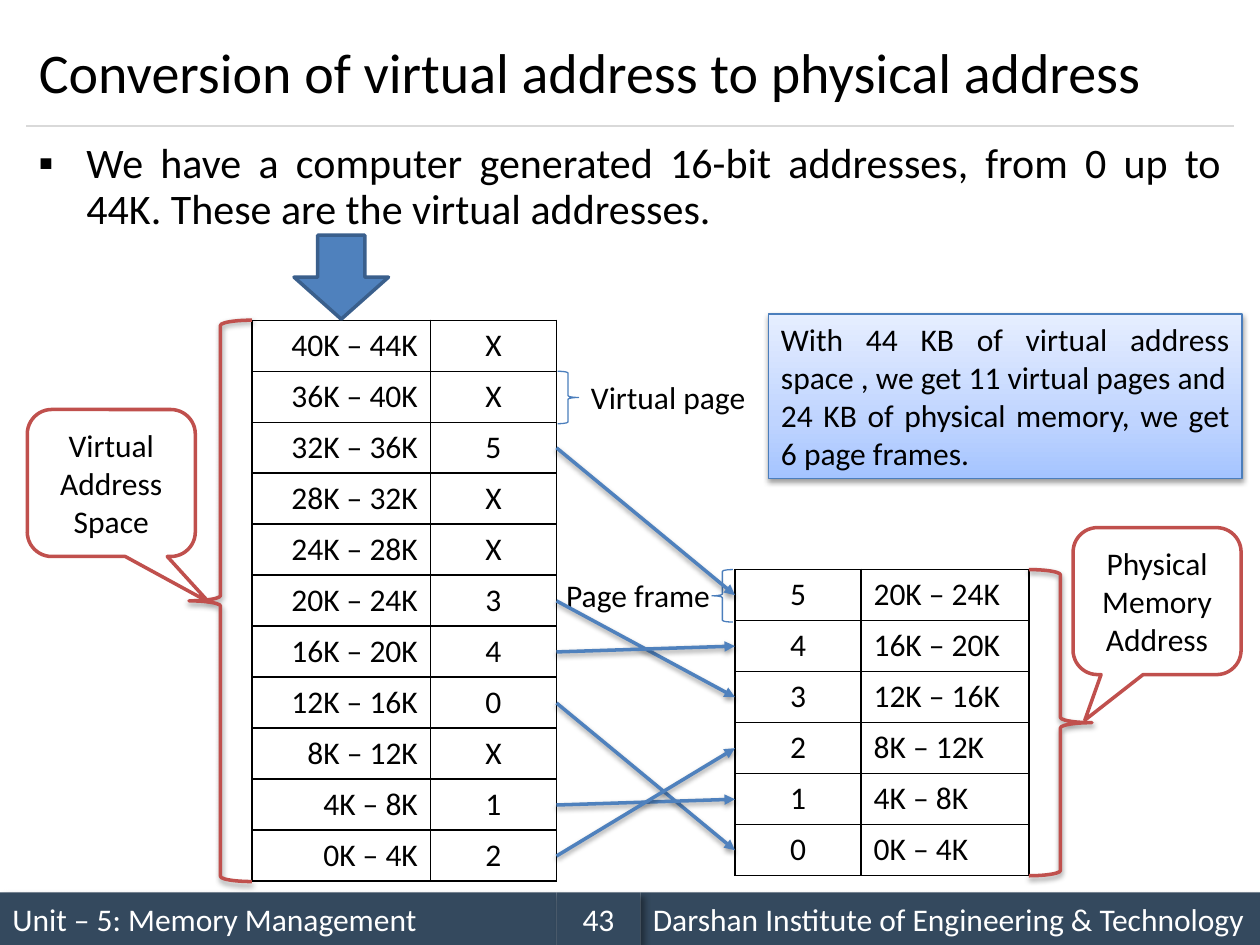
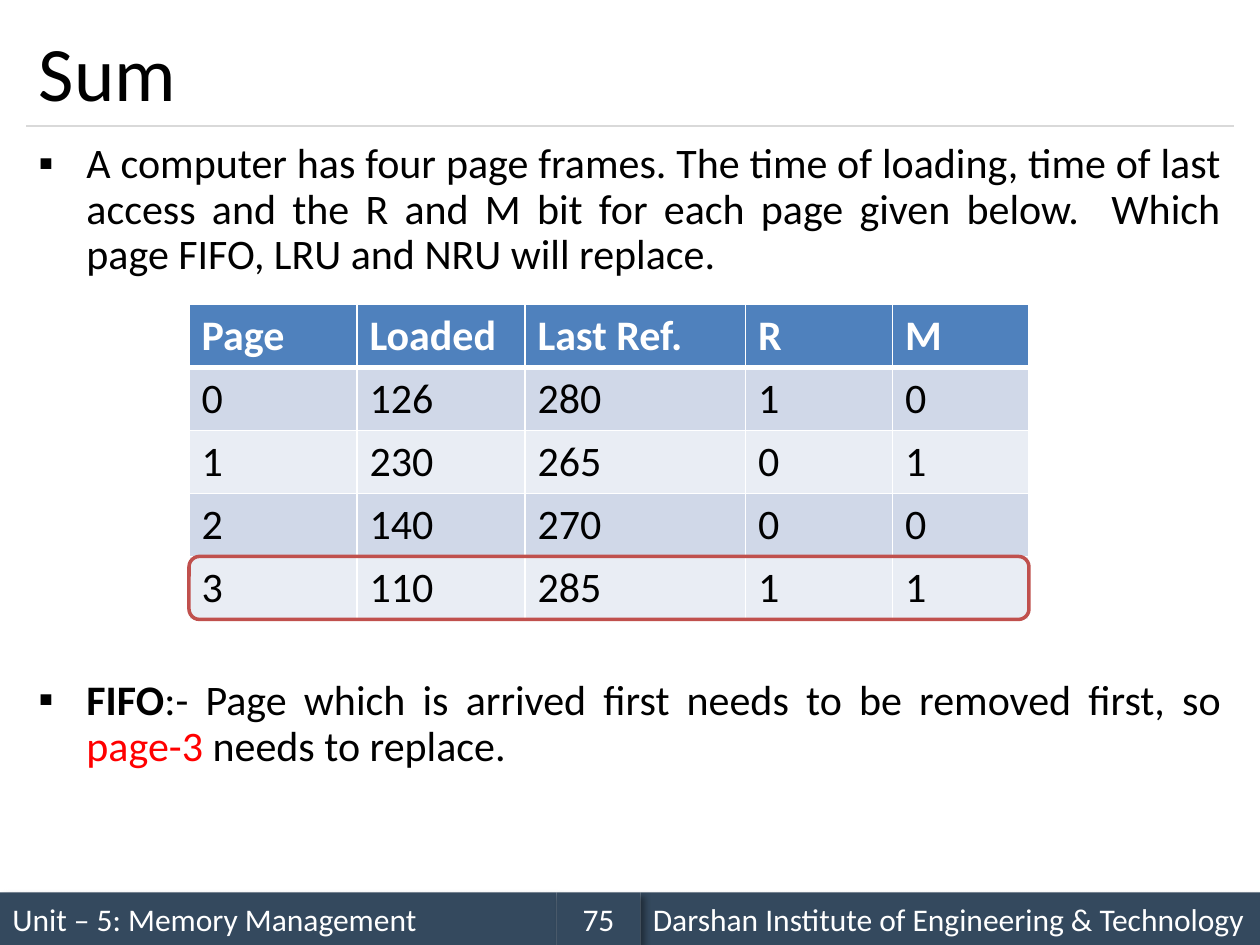
from copy import deepcopy
from dataclasses import dataclass

from lxml.etree import SubElement
from pptx import Presentation
from pptx.dml.color import RGBColor
from pptx.enum.shapes import MSO_CONNECTOR as Connector, MSO_SHAPE as Shape
from pptx.enum.text import MSO_ANCHOR as Anchor, PP_ALIGN as Align
from pptx.oxml.ns import qn
from pptx.util import Emu, Inches, Pt


@dataclass(frozen=True)
class Theme:
    font: str = "Calibri"
    black: str = "000000"
    white: str = "FFFFFF"
    band: str = "34495E"
    rule: str = "D9D9D9"
    blue: str = "4F81BD"
    dark_blue: str = "3A5F8C"
    brace_blue: str = "4B7EBC"
    red: str = "C0504D"
    alert: str = "FF0000"
    row_dark: str = "D0D8E8"
    row_light: str = "E9EDF4"
    note: tuple = ((0, "A4C4FF"), (0.35, "BFD4FF"), (1, "E6EEFF"))
    title_size: int = 44
    long_title_size: int = 32
    body_size: int = 24
    label_size: int = 18
    # Shadows: opacity %, blur pt, distance pt, direction degrees
    band_shadow: tuple = (40, 4, 3, 45)
    soft_shadow: tuple = (38, 3.1, 1.6, 90)


theme = Theme()
presentation = Presentation()
presentation.slide_width, presentation.slide_height = Inches(10), Inches(7.5)

# The slide is a grid of 120 columns and 90 rows
COLUMN = presentation.slide_width // 120
ROW = presentation.slide_height // 90


def write_text(frame, *paragraphs, size=theme.label_size, color=theme.black, bold=False,
               align=Align.LEFT, anchor=Anchor.TOP, bullet=None, line_spacing=None, gap=0):
    """Each paragraph is a string or a list of (text, changed format) runs."""
    frame.word_wrap = True
    frame.vertical_anchor = anchor
    for index, runs in enumerate(paragraphs):
        paragraph = frame.add_paragraph() if index else frame.paragraphs[0]
        paragraph.alignment = align
        paragraph.line_spacing = line_spacing
        paragraph.space_before = Pt(gap if index else 0)
        if bullet:
            properties = paragraph._p.get_or_add_pPr()
            properties.set("marL", str(Inches(0.38)))
            properties.set("indent", str(-Inches(0.38)))
            SubElement(properties, qn("a:buFont"), typeface=theme.font)
            SubElement(properties, qn("a:buChar"), char=bullet)
        for text, changes in [(runs, {})] if isinstance(runs, str) else runs:
            run = paragraph.add_run()
            run.text = text
            run.font.name = theme.font
            run.font.size = Pt(size)
            run.font.bold = changes.get("bold", bold)
            run.font.color.rgb = RGBColor.from_string(changes.get("color", color))


def paint(shape, fill=None, line=None, width=0.75, shadow=None):
    """Set fill, outline and shadow; a tuple of stops gives a gradient."""
    properties = shape._element.spPr
    if isinstance(fill, tuple):
        shape.fill.gradient()
        shape.fill.gradient_angle = 90
        stops = properties.find(".//" + qn("a:gsLst"))
        stops.insert(1, deepcopy(stops[0]))
        for stop, (position, color) in zip(shape.fill.gradient_stops, fill):
            stop.position = position
            stop.color.rgb = RGBColor.from_string(color)
    elif fill:
        shape.fill.solid()
        shape.fill.fore_color.rgb = RGBColor.from_string(fill)
    elif hasattr(shape, "fill"):
        shape.fill.background()
    if line:
        shape.line.color.rgb = RGBColor.from_string(line)
        shape.line.width = Pt(width)
    else:
        shape.line.fill.background()
    effects = SubElement(properties, qn("a:effectLst"))
    if shadow:
        opacity, blur, distance, direction = shadow
        outer = SubElement(effects, qn("a:outerShdw"), blurRad=str(Pt(blur)),
                           dist=str(Pt(distance)), dir=str(direction * 60000),
                           algn="tl", rotWithShape="0")
        color = SubElement(outer, qn("a:srgbClr"), val=theme.black)
        SubElement(color, qn("a:alpha"), val=str(opacity * 1000))


# Shared parts: title, rule, footer bands and bulleted body
pages = [
    ("Conversion of virtual address to physical address", theme.long_title_size, "43", 0,
     ["We have a computer generated 16-bit addresses, from 0 up to 44K. "
      "These are the virtual addresses."]),
    ("Sum", theme.title_size, "75", 229,
     ["A computer has four page frames. The time of loading, time of last access and "
      "the R and M bit for each page given below.  Which page FIFO, LRU and NRU will replace.",
      [("FIFO", {"bold": True}),
       (":- Page which is arrived first needs to be removed first, so ", {}),
       ("page-3 ", {"color": theme.alert}),
       ("needs to replace.", {})]]),
]
for title_text, title_size, number, body_gap, body_text in pages:
    slide = presentation.slides.add_slide(presentation.slide_layouts[5])
    title = slide.shapes.title
    title.left, title.top = Emu(int(2.5 * COLUMN)), Emu(int(1.5 * ROW))
    title.width, title.height = 115 * COLUMN, Emu(int(10.5 * ROW))
    write_text(title.text_frame, title_text, size=title_size, anchor=Anchor.MIDDLE)

    rule = slide.shapes.add_connector(Connector.STRAIGHT, int(2.5 * COLUMN), 12 * ROW,
                                      int(117.5 * COLUMN), 12 * ROW)
    paint(rule, line=theme.rule)

    for left, width, text, align in [
        (0, 53, "Unit – 5: Memory Management", Align.LEFT),
        (61, 59, "Darshan Institute of Engineering & Technology", Align.LEFT),
        (53, 8, number, Align.CENTER),
    ]:
        band = slide.shapes.add_shape(Shape.RECTANGLE, left * COLUMN, 85 * ROW,
                                      width * COLUMN, 5 * ROW)
        paint(band, theme.band, shadow=theme.band_shadow)
        write_text(band.text_frame, text, color=theme.white, align=align, anchor=Anchor.MIDDLE)

    body = slide.shapes.add_textbox(int(2.5 * COLUMN), 13 * ROW, 115 * COLUMN, 71 * ROW)
    write_text(body.text_frame, *body_text, size=theme.body_size, align=Align.JUSTIFY,
               bullet="▪", line_spacing=0.9, gap=body_gap)

address_slide, sum_slide = presentation.slides

# Tables: both address spaces count down in steps of 4K
page_table = "X X 5 X X 3 4 0 X 1 2".split()
frame_table = "5 4 3 2 1 0".split()
ranges = [f"{start}K – {start + 4}K" for start in range(40, -4, -4)]
loads = [
    ["Page", "Loaded", "Last Ref.", "R", "M"],
    ["0", "126", "280", "1", "0"],
    ["1", "230", "265", "0", "1"],
    ["2", "140", "270", "0", "0"],
    ["3", "110", "285", "1", "1"],
]
PAGE_TOP, FRAME_TOP, CELL = 30.5, 54.25, 4.86
PAGE_HEIGHT, FRAME_HEIGHT = len(page_table) * CELL, len(frame_table) * CELL
for slide, left, top, widths, height, rows, align in [
    (address_slide, 41, PAGE_TOP, [12], CELL, [[page] for page in page_table], Align.CENTER),
    (address_slide, 70, FRAME_TOP, [12], CELL, [[frame] for frame in frame_table], Align.CENTER),
    (address_slide, 24, PAGE_TOP, [17], CELL, [[span] for span in ranges], Align.RIGHT),
    (address_slide, 82, FRAME_TOP, [16], CELL,
     [[span] for span in ranges[-len(frame_table):]], Align.LEFT),
    (sum_slide, 18, 29, [16, 16, 21, 14, 13], 6, loads, Align.LEFT),
]:
    colored = slide is sum_slide
    table = slide.shapes.add_table(len(rows), len(widths), left * COLUMN, int(top * ROW),
                                   sum(widths) * COLUMN, int(len(rows) * height * ROW)).table
    table.first_row = colored
    table.horz_banding = colored
    for column, width in zip(table.columns, widths):
        column.width = width * COLUMN
    for row_index, values in enumerate(rows):
        table.rows[row_index].height = Emu(int(height * ROW))
        header = colored and row_index == 0
        for column_index, value in enumerate(values):
            cell = table.cell(row_index, column_index)
            for side in ("L", "R", "T", "B"):
                thick = colored and (row_index, side) in [(0, "B"), (1, "T")]
                border = SubElement(cell._tc.get_or_add_tcPr(), qn("a:ln" + side),
                                    w=str(Pt(3 if thick else 1)))
                border_fill = SubElement(border, qn("a:solidFill"))
                SubElement(border_fill, qn("a:srgbClr"),
                           val=theme.white if colored else theme.black)
            if colored:
                stripe = theme.row_dark if row_index % 2 else theme.row_light
                cell.fill.solid()
                cell.fill.fore_color.rgb = RGBColor.from_string(theme.blue if header else stripe)
            else:
                cell.fill.background()
            write_text(cell.text_frame, value, bold=header, align=align,
                       size=theme.body_size if colored else theme.label_size,
                       color=theme.white if header else theme.black)

# Braces, block arrow and the ring around the page to replace
for slide, kind, left, top, width, height, fill, line, weight, shadow in [
    (address_slide, Shape.LEFT_BRACE, 18, PAGE_TOP, 6, PAGE_HEIGHT,
     None, theme.red, 2, theme.soft_shadow),
    (address_slide, Shape.RIGHT_BRACE, 98, FRAME_TOP, 6, FRAME_HEIGHT,
     None, theme.red, 2, theme.soft_shadow),
    (address_slide, Shape.RIGHT_BRACE, 53.1, PAGE_TOP + CELL, 2, 5,
     None, theme.brace_blue, 0.75, None),
    (address_slide, Shape.LEFT_BRACE, 67.8, FRAME_TOP, 2, 5,
     None, theme.brace_blue, 0.75, None),
    (address_slide, Shape.DOWN_ARROW, 28, 22.4, 9, 8, theme.blue, theme.dark_blue, 2, None),
    (sum_slide, Shape.ROUNDED_RECTANGLE, 18, 53, 80, 6, None, theme.red, 2, None),
]:
    shape = slide.shapes.add_shape(kind, int(left * COLUMN), int(top * ROW),
                                   int(width * COLUMN), int(height * ROW))
    paint(shape, fill, line, weight, shadow)

# Callouts naming the two address spaces
for left, top, pointer, text in [
    (102.2, 50.25, -0.43, "Physical Memory Address"),
    (2.6, 39, 0.58, "Virtual Address Space"),
]:
    callout = address_slide.shapes.add_shape(Shape.ROUNDED_RECTANGULAR_CALLOUT,
                                             int(left * COLUMN), int(top * ROW),
                                             16 * COLUMN, 14 * ROW)
    callout.adjustments[0], callout.adjustments[1] = pointer, 0.81
    paint(callout, theme.white, theme.red, 2)
    write_text(callout.text_frame, text, align=Align.CENTER, anchor=Anchor.MIDDLE)

# Labels beside the small braces
for left, top, width, text, align in [
    (55.1, PAGE_TOP + CELL, 18, "Virtual page", Align.LEFT),
    (52.2, FRAME_TOP, 16.6, "Page frame", Align.RIGHT),
]:
    label = address_slide.shapes.add_textbox(int(left * COLUMN), int(top * ROW),
                                             int(width * COLUMN), int(CELL * ROW))
    write_text(label.text_frame, text, align=align)

# Arrows from each mapped page to its frame
for page_row, frame in enumerate(page_table):
    if frame == "X":
        continue
    start = PAGE_TOP + (page_row + 0.5) * CELL
    end = FRAME_TOP + (frame_table.index(frame) + 0.5) * CELL
    arrow = address_slide.shapes.add_connector(Connector.STRAIGHT, 53 * COLUMN, int(start * ROW),
                                               70 * COLUMN, int(end * ROW))
    paint(arrow, line=theme.blue, width=2, shadow=theme.soft_shadow)
    SubElement(arrow.line._get_or_add_ln(), qn("a:tailEnd"), type="triangle")

# Note on the page and frame counts
note = address_slide.shapes.add_shape(Shape.RECTANGLE, int(73.2 * COLUMN), int(29.9 * ROW),
                                      int(45.1 * COLUMN), int(15.7 * ROW))
paint(note, theme.note, theme.brace_blue, shadow=theme.soft_shadow)
write_text(note.text_frame,
           "With 44 KB of virtual address space , we get 11 virtual pages and",
           "24 KB of physical memory, we get 6 page frames.", align=Align.JUSTIFY)

presentation.save("out.pptx")
